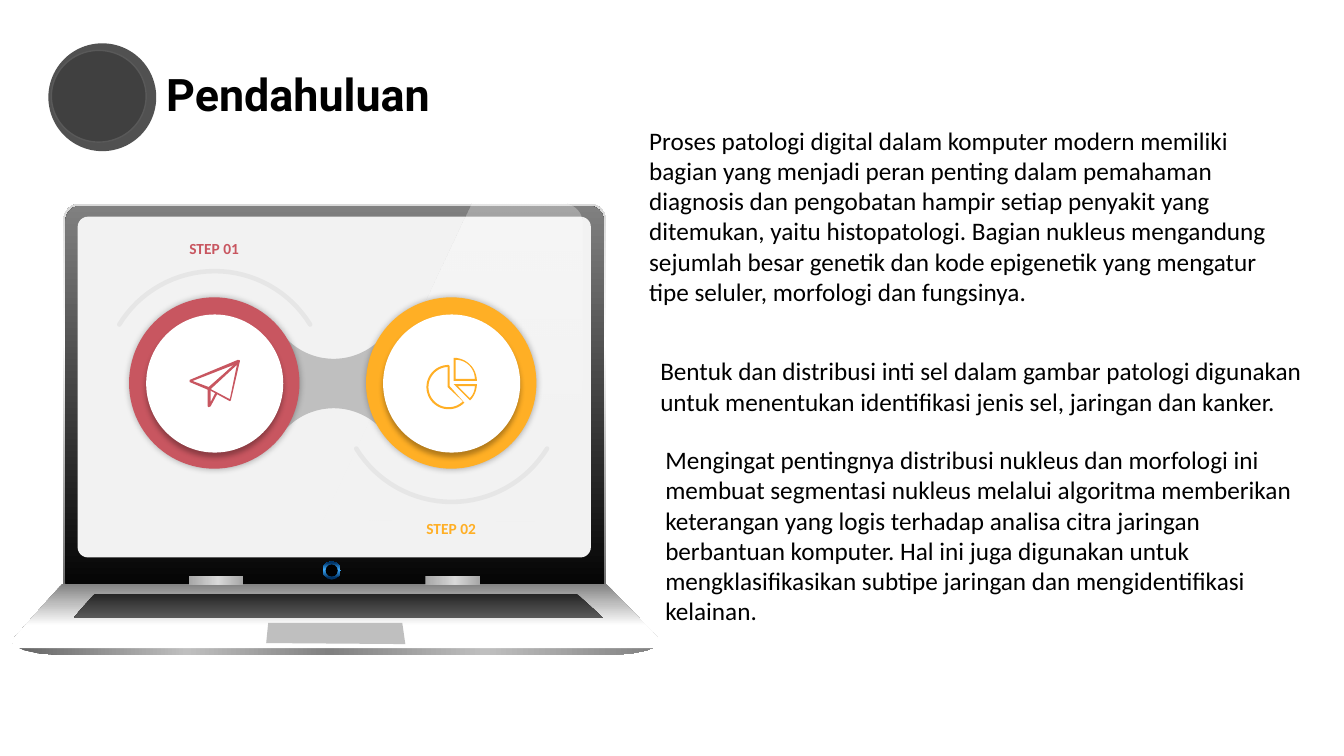
from math import cos, radians, sin

from lxml import etree
from pptx import Presentation
from pptx.dml.color import RGBColor
from pptx.enum.shapes import MSO_SHAPE
from pptx.enum.text import PP_ALIGN
from pptx.oxml.ns import qn
from pptx.util import Inches, Pt

RECT, ROUND, OVAL = MSO_SHAPE.RECTANGLE, MSO_SHAPE.ROUNDED_RECTANGLE, MSO_SHAPE.OVAL
LEFT, CENTER = PP_ALIGN.LEFT, PP_ALIGN.CENTER
RED, ORANGE, WHITE, BLACK, SILVER = "C85660", "FFAF25", "FFFFFF", "000000", "BFBFBF"


def rgb(color):
    return RGBColor.from_string(color)


def arc(cx, cy, radius, start, end, steps=32):
    """Points on a circle; degrees run clockwise from the right."""
    angles = [radians(start + (end - start) * i / steps) for i in range(steps + 1)]
    return [(cx + radius * cos(a), cy + radius * sin(a)) for a in angles]


def add_color(parent, color, alpha=100):
    clr = etree.SubElement(parent, qn("a:srgbClr"), val=color)
    etree.SubElement(clr, qn("a:alpha"), val=str(alpha * 1000))


class SlideBuilder:
    font = "Calibri"

    def __init__(self, prs):
        self.s = prs.slides.add_slide(prs.slide_layouts[6])

    def paint(self, sp, fill, angle=90, alpha=100, line=None, width=1, shadow=None):
        """Fill is a hex string, a list of (position, colour, alpha), or None."""
        sp.shadow.inherit = False
        spPr = sp._element.spPr
        if fill is None:
            sp.fill.background()
        elif isinstance(fill, str):
            sp.fill.solid()
            sp.fill.fore_color.rgb = rgb(fill)
        else:
            sp.fill.gradient()
            sp.fill.gradient_angle = (360 - angle) % 360
            stops = spPr.find(".//" + qn("a:gsLst"))
            for old in list(stops):
                stops.remove(old)
            for position, *color in fill:
                stop = etree.SubElement(stops, qn("a:gs"), pos=str(position * 1000))
                add_color(stop, *color)
        if line:
            sp.line.color.rgb = rgb(line)
            sp.line.width = Pt(width)
        else:
            sp.line.fill.background()
        if alpha < 100:
            clr = spPr.find(".//" + qn("a:srgbClr"))
            etree.SubElement(clr, qn("a:alpha"), val=str(alpha * 1000))
        if shadow:
            blur, distance = shadow
            outer = etree.SubElement(
                spPr.find(qn("a:effectLst")), qn("a:outerShdw"), blurRad=str(Pt(blur)),
                dist=str(Pt(distance)), dir="5400000", algn="ctr", rotWithShape="0")
            add_color(outer, BLACK, 30)
        return sp

    def shape(self, kind, x, y, w, h, fill, corner=None, **style):
        sp = self.s.shapes.add_shape(kind, Inches(x), Inches(y), Inches(w), Inches(h))
        if corner is not None:
            sp.adjustments[0] = corner
        return self.paint(sp, fill, **style)

    def outline(self, contours, fill, close=True, **style):
        """Freeform from one or more contours; inner ones become holes."""
        builder = None
        for contour in contours:
            start, *rest = [(Inches(x), Inches(y)) for x, y in contour]
            if builder is None:
                builder = self.s.shapes.build_freeform(*start)
            else:
                builder.move_to(*start)
            builder.add_line_segments(rest, close=close)
        return self.paint(builder.convert_to_shape(), fill, **style)

    def text(self, x, y, w, h, text, size=18, color=BLACK, bold=False, font=None,
             align=LEFT, spacing=None, inset=True):
        tb = self.s.shapes.add_textbox(Inches(x), Inches(y), Inches(w), Inches(h))
        tf = tb.text_frame
        tf.word_wrap = True
        if not inset:
            tf.margin_left = tf.margin_right = tf.margin_top = tf.margin_bottom = 0
        p = tf.paragraphs[0]
        p.text = text
        p.alignment = align
        if spacing:
            p.line_spacing = spacing
        p.font.name = font or self.font
        p.font.size = Pt(size)
        p.font.bold = bold
        p.font.color.rgb = rgb(color)


def draw_laptop(b):
    # Lid and screen
    b.shape(ROUND, 0.63, 2.02, 5.38, 4.12,
            [(0, "595959"), (66, WHITE), (100, "D9D9D9")], corner=0.04, angle=270)
    b.shape(ROUND, 0.65, 2.04, 5.34, 3.9, [(0, BLACK), (100, "808080")],
            corner=0.04, angle=270)
    b.shape(ROUND, 0.77, 2.15, 5.09, 3.38, "F2F2F2", corner=0.03)
    # Base and its rounded foot
    b.outline([[(0.14, 6.38), (6.46, 6.38), (6.53, 6.33), (6.01, 5.79), (0.62, 5.79),
                (0.13, 6.34)]],
              [(0, "808080"), (34, SILVER), (70, WHITE), (100, WHITE)])
    foot = [(0.12, 6.38), (0.17, 6.42), (0.24, 6.45), (0.38, 6.48), (0.62, 6.5)]
    mirrored = [(6.66 - x, y) for x, y in reversed(foot)]
    b.outline([foot + mirrored],
              [(0, "626262"), (27, SILVER), (49, "808080"), (73, SILVER),
               (100, "808080")], angle=0)
    # Power button and hinges
    b.shape(OVAL, 3.2, 5.57, 0.18, 0.18,
            [(11, "003366"), (55, "3FADFF"), (92, "003366")], angle=270)
    b.shape(OVAL, 3.23, 5.6, 0.12, 0.12, BLACK)
    for x in (1.87, 4.22):
        b.shape(RECT, x, 5.71, 0.54, 0.09,
                [(0, "A6A6A6"), (55, "D9D9D9"), (100, "A6A6A6")], angle=0)
    # Keyboard, front edge and touchpad
    b.outline([[(0.94, 5.89), (5.72, 5.89), (5.98, 6.13), (0.73, 6.13)]],
              [(0, "262626"), (100, "595959")])
    b.shape(ROUND, 0.12, 6.32, 6.42, 0.11, WHITE, corner=0.5)
    b.outline([[(2.66, 6.18), (3.99, 6.18), (4.02, 6.39), (2.64, 6.38)]], SILVER)
    # Screen glare
    b.outline([[(4.68, 2.02)] + arc(5.58, 2.22, 0.2, -90, 0)
               + [(5.78, 5.17), (3.21, 5.15)]],
              [(21, WHITE, 1), (100, WHITE, 30)], angle=270)


def draw_steps(b):
    # Bridge between the two rings
    b.outline([arc(3.31, 2.91, 0.65, 141, 39) + arc(3.31, 4.7, 0.65, -39, -141)], SILVER)
    # Rings with their guide arcs and labels
    steps = [("STEP 01", RED, 1.28, 2.37, arc(2.13, 3.8, 1.11, -148.5, -31.5)),
             ("STEP 02", ORANGE, 3.63, 5.15, arc(4.48, 3.87, 1.11, 148.5, 31.5))]
    for label, color, x, label_y, guide in steps:
        sp = b.outline([guide], None, close=False, line="808080", width=3.25, alpha=10)
        sp.line._ln.set("cap", "rnd")
        b.shape(OVAL, x, 2.95, 1.69, 1.7, color, shadow=(5, 0))
        b.shape(OVAL, x + 0.17, 3.12, 1.36, 1.37, WHITE, shadow=(4, 3))
        b.text(x + 0.28, label_y, 1.13, 0.19, label, size=11, color=color, bold=True,
               align=CENTER, inset=False)
    # Pie icon
    pie = [
        [[(4.5, 3.78)] + arc(4.5, 3.78, 0.23, -90, 0),
         [(4.52, 3.76)] + arc(4.52, 3.76, 0.19, -90, 0)],
        [[(4.5, 3.81)] + arc(4.5, 3.81, 0.23, 0, 45),
         [(4.54, 3.83)] + arc(4.54, 3.83, 0.17, 0, 45)],
        [[(4.46, 3.83)] + arc(4.45, 3.84, 0.22, 45, 270) + [(4.46, 3.63)],
         [(4.44, 3.84)] + arc(4.45, 3.84, 0.2, 45, 270) + [(4.44, 3.64)]],
    ]
    for contours in pie:
        b.outline(contours, ORANGE)
    # Paper plane icon
    plane = [
        [[(2.07, 3.87), (1.88, 3.79), (1.88, 3.77), (2.36, 3.57), (2.38, 3.58),
          (2.08, 3.86)],
         [(1.91, 3.78), (2.07, 3.84), (2.32, 3.62)]],
        [[(2.28, 3.98), (2.06, 3.86), (2.36, 3.58), (2.37, 3.57), (2.38, 3.58),
          (2.29, 3.97)],
         [(2.09, 3.86), (2.28, 3.96), (2.35, 3.62)]],
        [[(2.07, 4.04), (2.06, 4.03), (2.06, 3.86), (2.09, 3.86), (2.09, 3.99),
          (2.14, 3.89), (2.16, 3.9), (2.09, 4.03)]],
    ]
    for contours in plane:
        b.outline(contours, RED)


def main():
    prs = Presentation()
    prs.slide_width, prs.slide_height = Inches(13.33), Inches(7.5)
    b = SlideBuilder(prs)

    # Title with its badge
    b.shape(OVAL, 0.48, 0.43, 1.07, 1.07, "262626", alpha=80)
    b.text(1.55, 0.67, 8.89, 0.59, "Pendahuluan", size=32, bold=True, font="Roboto",
           spacing=0.9)

    draw_laptop(b)
    draw_steps(b)
    b.shape(OVAL, 0.51, 0.5, 0.94, 0.91, "404040", line="595959")

    # Body text
    b.text(6.34, 1.19, 6.67, 1.92,
           "Proses patologi digital dalam komputer modern memiliki bagian yang menjadi "
           "peran penting dalam pemahaman diagnosis dan pengobatan hampir setiap penyakit "
           "yang ditemukan, yaitu histopatologi. Bagian nukleus mengandung sejumlah besar "
           "genetik dan kode epigenetik yang mengatur tipe seluler, morfologi dan "
           "fungsinya.")
    b.text(6.45, 3.48, 6.62, 0.71,
           "Bentuk dan distribusi inti sel dalam gambar patologi digunakan untuk "
           "menentukan identifikasi jenis sel, jaringan dan kanker.")
    b.text(6.5, 4.36, 6.67, 1.92,
           "Mengingat pentingnya distribusi nukleus dan morfologi ini membuat segmentasi "
           "nukleus melalui algoritma memberikan keterangan yang logis terhadap analisa "
           "citra jaringan berbantuan komputer. Hal ini juga digunakan untuk "
           "mengklasifikasikan subtipe jaringan dan mengidentifikasi kelainan.")

    prs.save("out.pptx")


if __name__ == "__main__":
    main()
